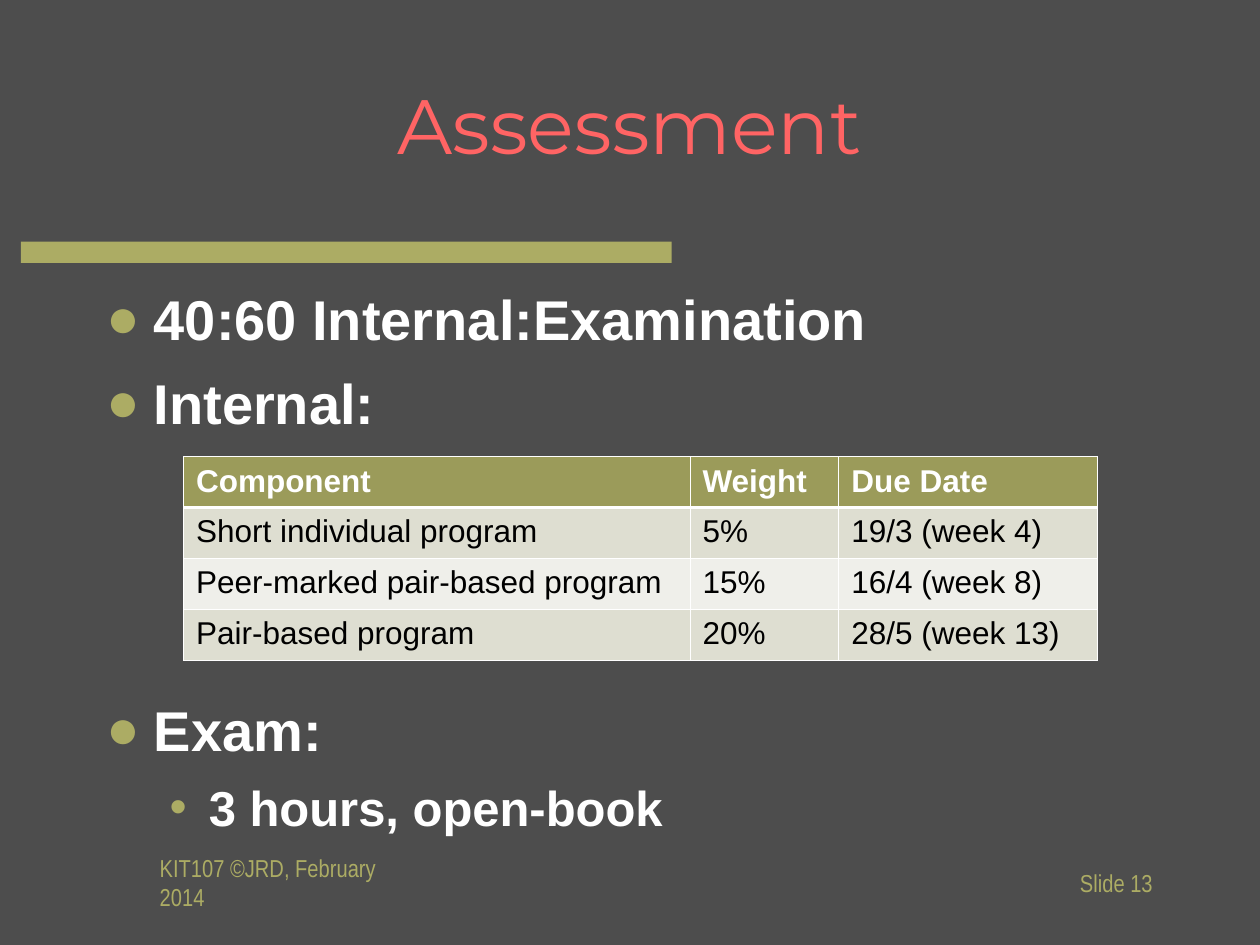
from typing import NamedTuple

from lxml.etree import SubElement
from pptx import Presentation
from pptx.dml.color import RGBColor
from pptx.enum.shapes import MSO_SHAPE
from pptx.enum.text import MSO_ANCHOR as Anchor, PP_ALIGN as Align
from pptx.oxml.ns import qn
from pptx.util import Cm, Pt

OLIVE, WHITE, BLACK = "ACAC64", "FFFFFF", "000000"
HEADER_FILL, BAND_FILLS = "9B9B5A", ("DEDED1", "EFEFEA")
THIN, THICK = 0.45, 1.47


class Area(NamedTuple):
    left: float
    top: float
    width: float
    height: float

    def lengths(self) -> list:
        return [Cm(value) for value in self]


class Label(NamedTuple):
    text: str
    area: Area
    size: float
    font: str
    color: str
    align: Align
    wrap: bool


class Point(NamedTuple):
    text: str
    level: int
    space_before: float


class PointStyle(NamedTuple):
    size: float
    bullet: str
    indent: float
    hanging: float


POINT_STYLES = (PointStyle(32, "●", 0.95, 0.95), PointStyle(28, "•", 2.06, 0.79))
POINTS = (
    Point("40:60 Internal:Examination", 0, 0),
    Point("Internal:", 0, 9.5),
    Point("Exam:", 0, 148.4),
    Point("3 hours, open-book", 1, 8.5),
)
LABELS = (
    Label("Assessment", Area(1.9, 0.91, 21.59, 3.18), 44, "Montserrat", "FF6464",
          Align.CENTER, True),
    Label("KIT107 ©JRD, February 2014", Area(2.97, 17.15, 5.28, 1.27), 14,
          "Arial Narrow", OLIVE, Align.LEFT, False),
    Label("Slide 13", Area(18.21, 17.15, 5.28, 1.27), 14, "Arial Narrow", OLIVE,
          Align.RIGHT, False),
)
ASSESSMENTS = (
    ("Component", "Weight", "Due Date"),
    ("Short individual program", "5%", "19/3 (week 4)"),
    ("Peer-marked pair-based program", "15%", "16/4 (week 8)"),
    ("Pair-based program", "20%", "28/5 (week 13)"),
)
COLUMN_WIDTHS = (10.21, 3.0, 5.21)
ROW_HEIGHT = 1.03


def paint(fill, color: str) -> None:
    fill.solid()
    fill.fore_color.rgb = RGBColor.from_string(color)


def format_text(paragraph, size: float, font: str, color: str, bold: bool = False) -> None:
    for run in paragraph.runs:
        run.font.size = Pt(size)
        run.font.name = font
        run.font.bold = bold
        run.font.color.rgb = RGBColor.from_string(color)


def add_label(slide, label: Label) -> None:
    frame = slide.shapes.add_textbox(*label.area.lengths()).text_frame
    frame.word_wrap = label.wrap
    frame.vertical_anchor = Anchor.MIDDLE
    frame.text = label.text
    frame.paragraphs[0].alignment = label.align
    format_text(frame.paragraphs[0], label.size, label.font, label.color)


def add_bullet(paragraph, style: PointStyle) -> None:
    props = paragraph._p.get_or_add_pPr()
    props.set("marL", str(Cm(style.indent)))
    props.set("indent", str(-Cm(style.hanging)))
    bullet_color = SubElement(props, qn("a:buClr"))
    SubElement(bullet_color, qn("a:srgbClr"), val=OLIVE)
    SubElement(props, qn("a:buFont"), typeface="Arial")
    SubElement(props, qn("a:buChar"), char=style.bullet)


def add_points(slide, area: Area) -> None:
    frame = slide.shapes.add_textbox(*area.lengths()).text_frame
    frame.word_wrap = True
    for index, point in enumerate(POINTS):
        paragraph = frame.add_paragraph() if index else frame.paragraphs[0]
        style = POINT_STYLES[point.level]
        paragraph.text = point.text
        paragraph.level = point.level
        add_bullet(paragraph, style)
        paragraph.space_before = Pt(point.space_before)
        format_text(paragraph, style.size, "Arial", WHITE, bold=True)


def add_borders(cell, top: float, bottom: float) -> None:
    """Draw white cell borders; they must precede the fill in the XML."""
    props = cell._tc.get_or_add_tcPr()
    for edge, width in (("L", THIN), ("R", THIN), ("T", top), ("B", bottom)):
        line = SubElement(props, qn(f"a:ln{edge}"), w=str(Pt(width)))
        SubElement(SubElement(line, qn("a:solidFill")), qn("a:srgbClr"), val=WHITE)


def add_assessment_table(slide, left: float, top: float) -> None:
    area = Area(left, top, sum(COLUMN_WIDTHS), ROW_HEIGHT * len(ASSESSMENTS))
    table = slide.shapes.add_table(
        len(ASSESSMENTS), len(COLUMN_WIDTHS), *area.lengths()).table
    for column, width in zip(table.columns, COLUMN_WIDTHS):
        column.width = Cm(width)
    for row, entries in enumerate(ASSESSMENTS):
        header = row == 0
        table.rows[row].height = Cm(ROW_HEIGHT)
        for column, entry in enumerate(entries):
            cell = table.cell(row, column)
            cell.text = entry
            cell.vertical_anchor = Anchor.MIDDLE if header else Anchor.TOP
            add_borders(cell, THICK if row == 1 else THIN, THICK if header else THIN)
            paint(cell.fill, HEADER_FILL if header else BAND_FILLS[(row - 1) % 2])
            format_text(cell.text_frame.paragraphs[0], 18, "Arial",
                        WHITE if header else BLACK, bold=header)


def add_rule(slide, area: Area) -> None:
    rule = slide.shapes.add_shape(MSO_SHAPE.RECTANGLE, *area.lengths())
    rule.shadow.inherit = False
    rule.line.fill.background()
    paint(rule.fill, OLIVE)


def main() -> None:
    deck = Presentation()
    deck.slide_width, deck.slide_height = Cm(25.4), Cm(19.05)
    slide = deck.slides.add_slide(deck.slide_layouts[6])
    paint(slide.background.fill, "4D4D4D")
    add_rule(slide, Area(0.42, 4.87, 13.12, 0.43))
    add_points(slide, Area(1.9, 5.61, 21.59, 11.43))
    for label in LABELS:
        add_label(slide, label)
    add_assessment_table(slide, 3.7, 9.2)
    deck.save("out.pptx")


if __name__ == "__main__":
    main()
